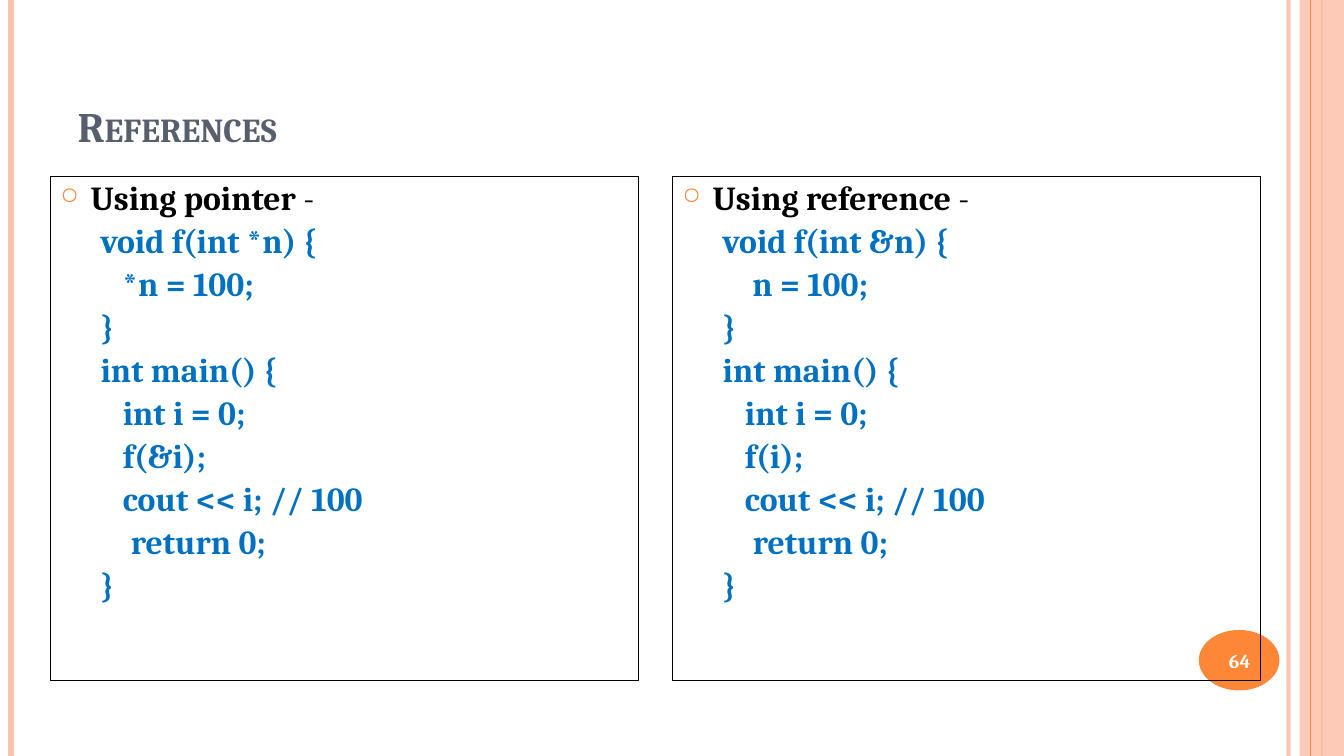
from lxml.etree import SubElement as Sub
from pptx import Presentation
from pptx.dml.color import RGBColor as RGB
from pptx.enum.shapes import MSO_CONNECTOR as Link, MSO_SHAPE as Kind
from pptx.enum.text import MSO_ANCHOR as Anchor, MSO_AUTO_SIZE as Fit, PP_ALIGN as Align
from pptx.oxml.ns import qn
from pptx.util import Emu, Inches, Pt

# Content
TITLE = "References"
PAGE = "64"
PANELS = [
    ("Using pointer ", [
        "void f(int *n) {", "   *n = 100;", "}",
        "int main() {", "   int i = 0;", "   f(&i);",
        "   cout << i; // 100", "\treturn 0;", "}"]),
    ("Using reference ", [
        "void f(int &n) {", "    n = 100;", "}",
        "int main() {", "   int i = 0;", "   f(i);",
        "   cout << i; // 100", "\treturn 0;", "}"]),
]
INK = {"peach": "FEC3AE", "orange": "FE8637", "slate": "575F6D",
       "blue": "0070C0", "black": "000000", "white": "FFFFFF"}
FONT = "Cambria"
W, H = 13.33, 7.5
# Vertical rules: x, colour, width, opacity
BACK = [(12.78, "peach", 3, 93), (0.11, "peach", 4.5, 100), (13.11, "orange", 1.5, 100)]
FRONT = [(13, "orange", 0.75, 100)]

# Grid of two panels
LEFT, TOP, WIDE, TALL, GAP = 0.5, 1.75, 5.83, 5, 0.34

deck = Presentation()
deck.slide_width, deck.slide_height = Inches(W), Inches(H)
slide = deck.slides.add_slide(deck.slide_layouts[5])
shapes = slide.shapes


def box(*at):
    return [Inches(v) for v in at]


def fade(fill, share):
    """Set the opacity of a solid colour, in percent."""
    if share < 100:
        tone = fill._xPr.find(qn("a:solidFill"))[0]
        Sub(tone, qn("a:alpha"), val=str(share * 1000))


def rule(x, ink, wide, share):
    line = shapes.add_connector(Link.STRAIGHT, *box(x, 0, x, H))
    line.line.color.rgb = RGB.from_string(INK[ink])
    line.line.width = Pt(wide)
    fade(line.line.fill, share)
    Sub(line._element.spPr, qn("a:effectLst"))


def solid(kind, at, ink, share=100):
    shape = shapes.add_shape(kind, *box(*at))
    shape.shadow.inherit = False
    shape.fill.solid()
    shape.fill.fore_color.rgb = RGB.from_string(INK[ink])
    fade(shape.fill, share)
    shape.line.fill.background()


def write(para, text, size, ink, bold=True):
    run = para.add_run()
    run.text = text
    font = run.font
    font.name, font.size, font.bold = FONT, Pt(size), bold
    font.color.rgb = RGB.from_string(INK[ink])
    return run


def indent(para, left, hang):
    props = para._p.get_or_add_pPr()
    props.set("marL", str(Inches(left)))
    props.set("indent", str(-Inches(hang)))
    para.alignment = Align.LEFT
    para.line_spacing = 0.9
    return props


def panel(x, head, code):
    shape = shapes.add_shape(Kind.RECTANGLE, *box(x, TOP, WIDE, TALL))
    shape.shadow.inherit = False
    shape.fill.background()
    shape.line.color.rgb = RGB.from_string(INK["black"])
    shape.line.width = Pt(0.75)
    frame = shape.text_frame
    frame.word_wrap = True
    frame.vertical_anchor = Anchor.TOP

    # Bulleted heading
    para = frame.paragraphs[0]
    props = indent(para, 0.3, 0.3)
    Sub(Sub(props, qn("a:buClr")), qn("a:srgbClr"), val=INK["orange"])
    Sub(props, qn("a:buSzPct"), val="70000")
    Sub(props, qn("a:buChar"), char="○")
    write(para, head, 24, "black")
    write(para, "-", 24, "black", False)

    # Code lines, spaced by a share of the line height
    for text in code:
        para = frame.add_paragraph()
        para.level = 1
        props = indent(para, 0.7, 0.3)
        Sub(Sub(props, qn("a:spcBef")), qn("a:spcPct"), val="20000")
        Sub(props, qn("a:buNone"))
        write(para, text, 24, "blue")


# Side bands and page disc
for item in BACK:
    rule(*item)
solid(Kind.RECTANGLE, (12.89, 0, W - 12.89, H), "peach", 87)
for item in FRONT:
    rule(*item)
solid(Kind.OVAL, (11.89, 6.25, 0.8, 0.6), "orange")

# Title
title = shapes.title
title.left, title.top, title.width, title.height = box(0.67, 0.3, 11.22, 1.25)
frame = title.text_frame
frame.auto_size = Fit.NONE
frame.word_wrap = True
frame.vertical_anchor = Anchor.BOTTOM
frame.paragraphs[0].alignment = Align.LEFT
run = write(frame.paragraphs[0], TITLE, 30, "slate")
run.font._element.set("cap", "small")

# Page number
note = shapes.add_textbox(*box(11.85, 6.27, 0.89, 0.57)).text_frame
note.word_wrap = True
note.vertical_anchor = Anchor.MIDDLE
note.paragraphs[0].alignment = Align.CENTER
write(note.paragraphs[0], PAGE, 14, "white")

# Code panels
for col, (head, code) in enumerate(PANELS):
    panel(LEFT + col * (WIDE + GAP), head, code)

deck.save("out.pptx")
